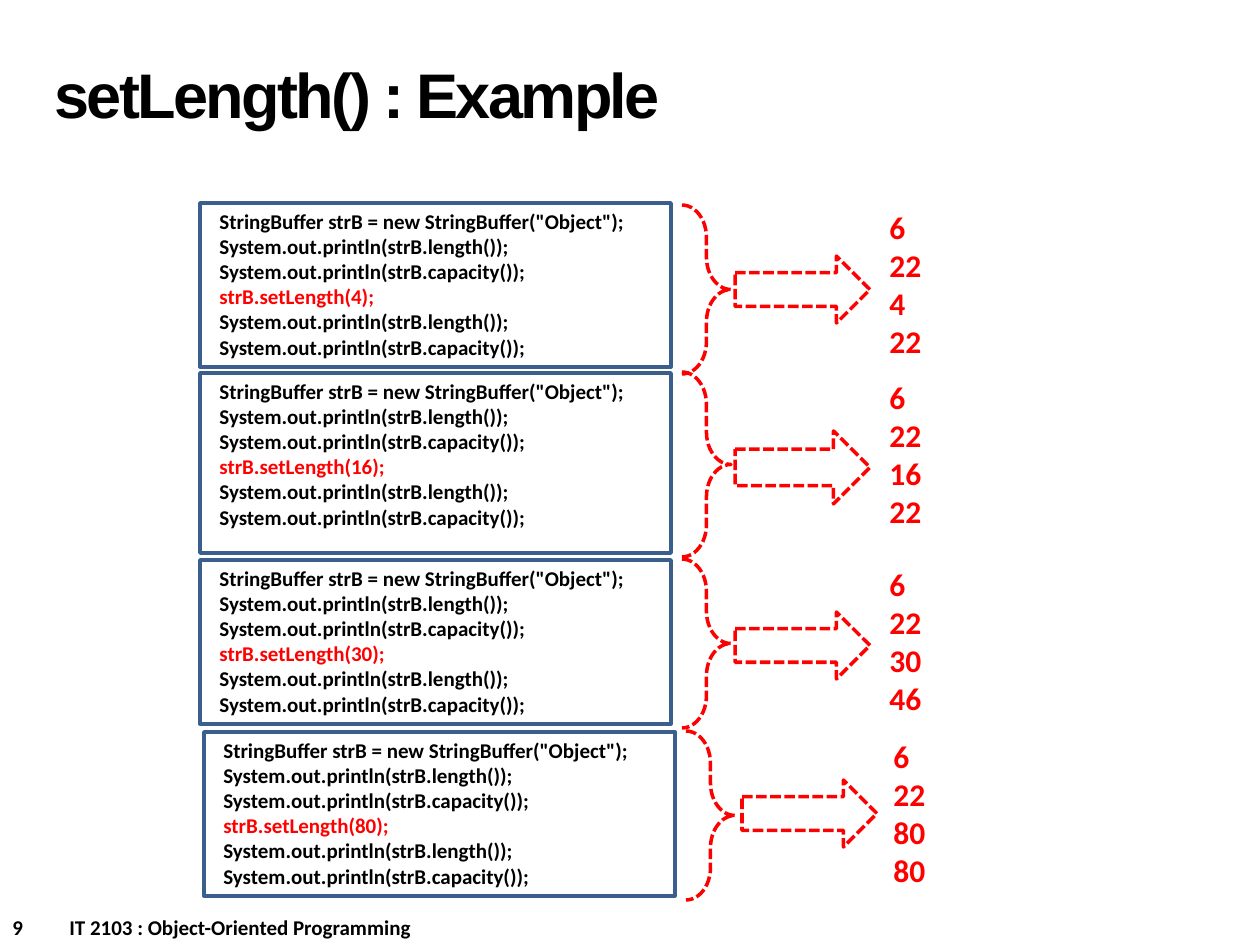
from dataclasses import dataclass

from lxml.etree import SubElement
from pptx import Presentation
from pptx.dml.color import RGBColor
from pptx.enum.dml import MSO_LINE
from pptx.enum.shapes import MSO_SHAPE
from pptx.enum.text import MSO_ANCHOR, PP_ALIGN
from pptx.oxml.ns import qn
from pptx.util import Emu, Pt

BLACK = RGBColor(0x00, 0x00, 0x00)
RED = RGBColor(0xFF, 0x00, 0x00)
BLUE = RGBColor(0x3A, 0x5F, 0x8C)

PX_PER_INCH = 126
CODE_LEFT = 207
OUTLINE_LEFT = 200
BRACE_LEFT = 682
ARROW_LEFT = 735
RESULT_LEFT = 877


def px(length):
    return Emu(round(length * 914400 / PX_PER_INCH))


def write(frame, lines, size=12, color=BLACK, font="Calibri", accent=None,
          tab=None, spacing=None, tracking=None):
    for index, line in enumerate(lines):
        paragraph = frame.paragraphs[0] if index == 0 else frame.add_paragraph()
        properties = paragraph._p.get_or_add_pPr()
        if tab:
            stops = SubElement(properties, qn("a:tabLst"))
            SubElement(stops, qn("a:tab"), pos=str(px(tab)), algn="l")
        if spacing:
            paragraph.line_spacing = Pt(spacing)
        paragraph.alignment = PP_ALIGN.LEFT
        run = paragraph.add_run()
        run.text = line
        run.font.size = Pt(size)
        run.font.name = font
        run.font.bold = True
        run.font.color.rgb = RED if index == accent else color
        if tracking:
            run._r.get_or_add_rPr().set("spc", str(tracking))


@dataclass
class SlideBuilder:
    slide: object
    line_width: int = 2

    def title(self, text, left, top, width, height):
        title = self.slide.shapes.title
        title.left, title.top = px(left), px(top)
        title.width, title.height = px(width), px(height)
        title.text_frame.vertical_anchor = MSO_ANCHOR.MIDDLE
        write(title.text_frame, [text], size=36, font="Arial", spacing=36, tracking=-150)

    def text(self, lines, left, top, width, height, group=None, **style):
        shapes = group.shapes if group else self.slide.shapes
        box = shapes.add_textbox(px(left), px(top), px(width), px(height))
        box.text_frame.word_wrap = True
        write(box.text_frame, lines, **style)

    def outline(self, kind, left, top, width, height, color=RED, dash=MSO_LINE.SQUARE_DOT,
                group=None):
        shapes = group.shapes if group else self.slide.shapes
        shape = shapes.add_shape(kind, px(left), px(top), px(width), px(height))
        shape.shadow.inherit = False
        shape.fill.background()
        shape.line.color.rgb = color
        shape.line.width = Pt(self.line_width)
        shape.line.dash_style = dash
        return shape

    def example(self, new_length, results, top, height, arrow_top, arrow_height,
                brace_drop=0, shift=0, arrow_shift=0):
        prints = ["System.out.println(strB.length());", "System.out.println(strB.capacity());"]
        code = ['StringBuffer strB = new StringBuffer("Object");', *prints,
                f"strB.setLength({new_length});", *prints]
        panel = self.slide.shapes.add_group_shape()
        self.text(code, CODE_LEFT + shift, top, 436, height, group=panel, accent=3)
        self.outline(MSO_SHAPE.RECTANGLE, OUTLINE_LEFT + shift, top + 1, 471, height - 1,
                     color=BLUE, dash=MSO_LINE.SOLID, group=panel)
        brace = self.outline(MSO_SHAPE.RIGHT_BRACE, BRACE_LEFT + shift, top + brace_drop,
                             49, height + 4)
        brace.adjustments[0] = 0.66
        self.outline(MSO_SHAPE.RIGHT_ARROW, ARROW_LEFT + arrow_shift, arrow_top,
                     135, arrow_height)
        self.text(results, RESULT_LEFT + shift, top, 87, height, size=18, color=RED)


def main():
    presentation = Presentation()
    presentation.slide_width, presentation.slide_height = px(1260), px(945)
    builder = SlideBuilder(presentation.slides.add_slide(presentation.slide_layouts[5]))

    builder.text(["9\tIT 2103 : Object-Oriented Programming"], 0, 908, 630, 37, tab=57)
    builder.title("setLength() : Example", 42, 21, 872, 158)

    builder.example(4, ["6", "22", "4", "22"], 202, 165, 256, 67, brace_drop=3)
    builder.example(16, ["6", "22", "16", "22"], 372, 181, 431, 73)
    builder.example(30, ["6", "22", "30", "46"], 559, 165, 612, 67)
    builder.example(80, ["6", "22", "80", "80"], 731, 165, 780, 67, shift=4, arrow_shift=7)

    presentation.save("out.pptx")


if __name__ == "__main__":
    main()
